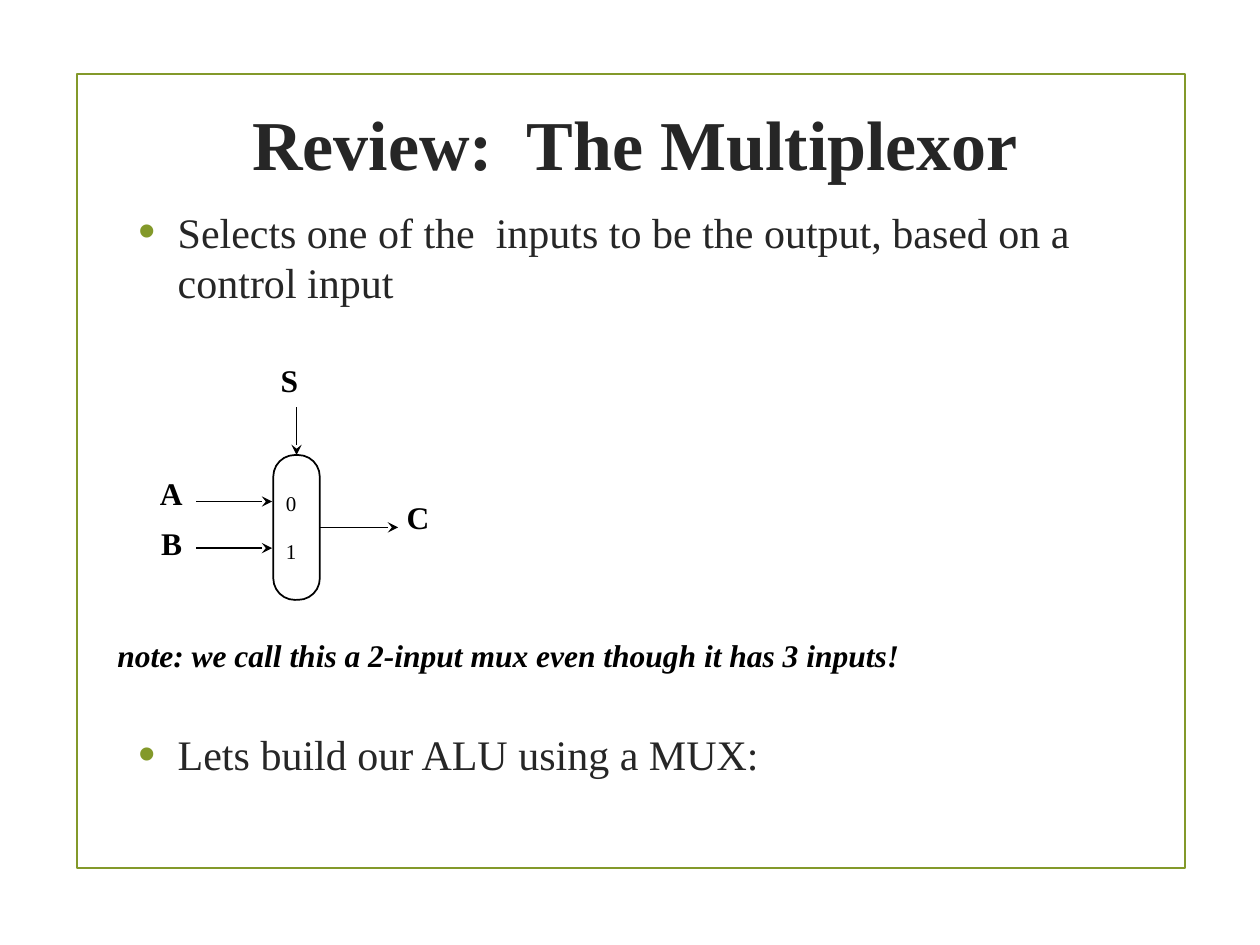
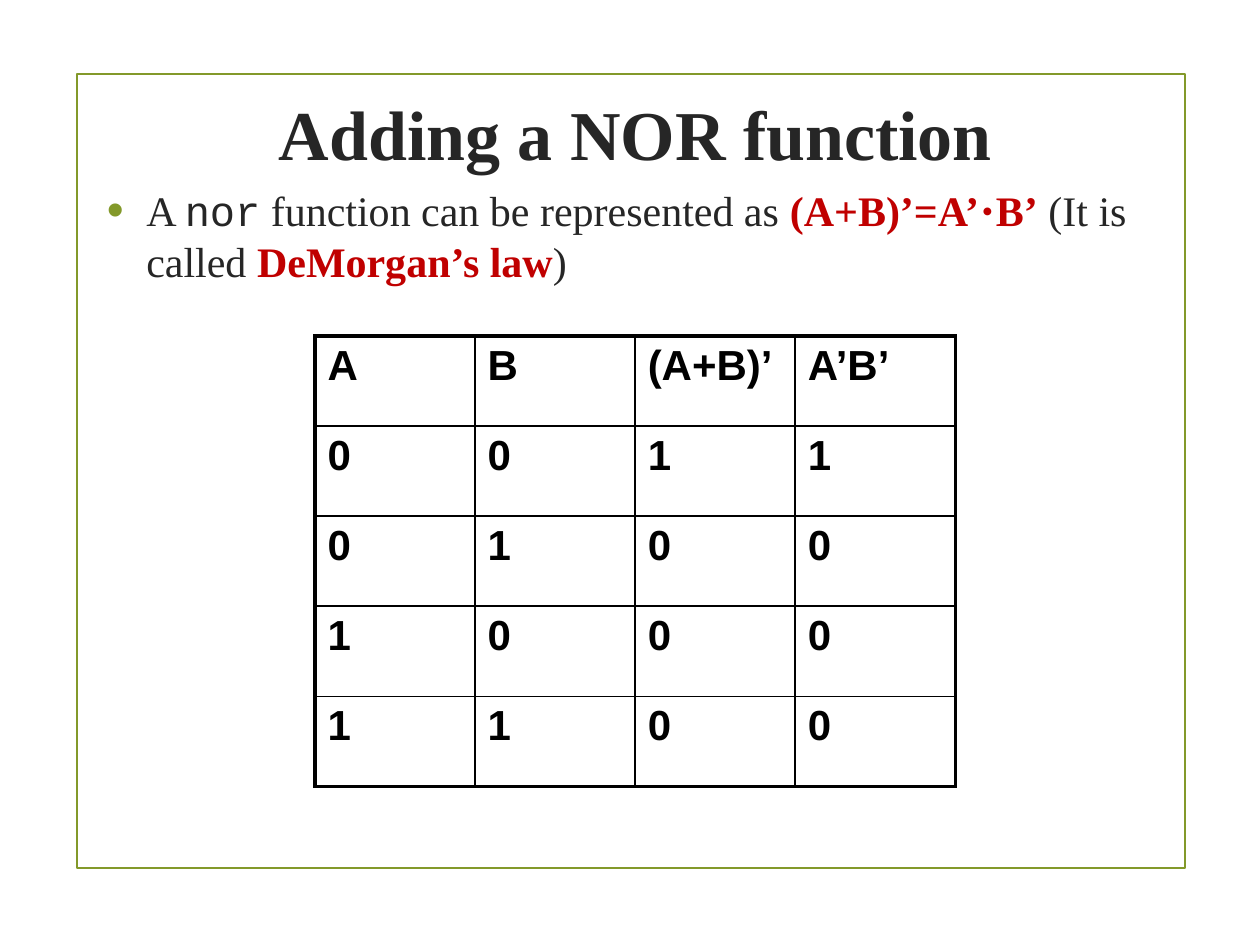
from lxml import etree
from pptx import Presentation
from pptx.dml.color import RGBColor
from pptx.enum.shapes import MSO_CONNECTOR, MSO_SHAPE
from pptx.enum.text import MSO_ANCHOR, PP_ALIGN
from pptx.oxml.ns import qn
from pptx.util import Pt

LINE = MSO_CONNECTOR.STRAIGHT
RECT = MSO_SHAPE.RECTANGLE
ROUND = MSO_SHAPE.ROUNDED_RECTANGLE
MID = MSO_ANCHOR.MIDDLE
LEFT, CENTER = PP_ALIGN.LEFT, PP_ALIGN.CENTER
TOP, RIGHT = 0, 3

HUES = {"olive": "83992A", "dark": "262626", "black": "000000",
        "white": "FFFFFF", "red": "C00000"}
SERIF = "Times New Roman"
FONTS = {
    "title": {"name": SERIF, "size": Pt(40), "bold": True},
    "body": {"name": SERIF, "size": Pt(24)},
    "code": {"name": "Courier New", "size": Pt(24)},
    "key": {"name": SERIF, "size": Pt(24), "bold": True},
    "label": {"name": SERIF, "size": Pt(18), "bold": True},
    "digit": {"name": SERIF, "size": Pt(12)},
    "note": {"name": SERIF, "size": Pt(18), "bold": True, "italic": True},
    "cell": {"name": "Arial", "size": Pt(24), "bold": True},
}
TINTS = {"title": "dark", "body": "dark", "code": "dark", "key": "red"}


# Shared helpers
def color(name):
    return RGBColor.from_string(HUES[name])


def apply(item, values):
    for name, value in values.items():
        setattr(item, name, value)


def pts(*values):
    return [Pt(v) for v in values]


def add_run(para, text, style):
    run = para.add_run()
    run.text = text
    apply(run.font, FONTS[style])
    run.font.color.rgb = color(TINTS.get(style, "black"))


def add_text(slide, box, runs, inset=(7.2, 3.6), align=LEFT, **form):
    frame = slide.shapes.add_textbox(*pts(*box)).text_frame
    side, edge = pts(*inset)
    apply(frame, {"word_wrap": True, "margin_left": side, "margin_right": side,
                  "margin_top": edge, "margin_bottom": edge})
    para = frame.paragraphs[0]
    apply(para, {"alignment": align, **form})
    for text, style in runs:
        add_run(para, text, style)
    return frame


def add_box(slide, kind, box, line, width):
    shape = slide.shapes.add_shape(kind, *pts(*box))
    shape.shadow.inherit = False
    shape.line.color.rgb = color(line)
    shape.line.width = Pt(width)
    return shape


def add_arrow(slide, start, end):
    arrow = slide.shapes.add_connector(LINE, *pts(*start, *end))
    arrow.line.color.rgb = color("black")
    arrow.line.width = Pt(1)
    etree.SubElement(arrow.line._get_or_add_ln(), qn("a:tailEnd"), type="stealth")
    etree.SubElement(arrow._element.spPr, qn("a:effectLst"))
    return arrow


# Frame and title common to all slides
def add_page(deck, title, top):
    slide = deck.slides.add_slide(deck.slide_layouts[6])
    add_box(slide, RECT, (44, 42.5, 633, 453.5), "olive", 1.25).fill.background()
    frame = add_text(slide, (48, top, 630, 103), [(title, "title")], align=CENTER)
    frame.vertical_anchor = MID
    return slide


def add_bullet(slide, box, runs):
    frame = add_text(slide, box, runs, line_spacing=Pt(29), space_after=Pt(6))
    props = frame.paragraphs[0]._p.get_or_add_pPr()
    apply_xml = {"marL": Pt(22.5), "indent": Pt(-22.5)}
    for name, value in apply_xml.items():
        props.set(name, str(value))
    tint = etree.SubElement(props, qn("a:buClr"))
    etree.SubElement(tint, qn("a:srgbClr"), val=HUES["olive"])
    etree.SubElement(props, qn("a:buSzPct"), val="115000")
    etree.SubElement(props, qn("a:buFont"), typeface="Arial")
    etree.SubElement(props, qn("a:buChar"), char="•")


# Two-input multiplexor, placed from its top left corner
def add_mux(slide, left, top):
    def at(x, y):
        return left + x, top + y

    wide, high = 26.6, 82.8
    mid_x, mid_y = 66.2 + wide / 2, 62 + high / 2
    mux = add_box(slide, ROUND, (*at(66.2, 62), wide, high), "black", 1)
    mux.adjustments[0] = 0.464
    mux.fill.solid()
    mux.fill.fore_color.rgb = color("white")

    for y in (88.6, 115.2):
        add_arrow(slide, at(22.3, y), at(65.5, y))
    pick = add_arrow(slide, at(mid_x, 34.6), at(mid_x, 62))
    pick.end_connect(mux, TOP)
    out = add_arrow(slide, at(66.2 + wide, mid_y), at(137.5, mid_y))
    out.begin_connect(mux, RIGHT)

    for text, x, y in (("S", 69, 0.7), ("C", 141, 79), ("A", 0, 65.5), ("B", 0.7, 93.6)):
        add_text(slide, (*at(x, y), 45, 48), [(text, "label")], (1.4, 2.2),
                 line_spacing=Pt(27))
    for text, y in (("0", 80.6), ("1", 108)):
        add_text(slide, (*at(72, y), 40, 24), [(text, "digit")], (1.4, 2.2),
                 line_spacing=Pt(14))


# Truth table with a heavy outer edge
def add_edge(cell, side, width):
    props = cell._tc.get_or_add_tcPr()
    line = etree.SubElement(props, qn("a:ln" + side), w=str(Pt(width)))
    fill = etree.SubElement(line, qn("a:solidFill"))
    etree.SubElement(fill, qn("a:srgbClr"), val=HUES["black"])


def add_truth(slide, box, rows):
    tall, wide = len(rows), len(rows[0])
    table = slide.shapes.add_table(tall, wide, *pts(*box)).table
    apply(table, {"first_row": False, "horz_banding": False})
    for r, row in enumerate(rows):
        for c, text in enumerate(row):
            cell = table.cell(r, c)
            add_run(cell.text_frame.paragraphs[0], text, "cell")
            outer = {"L": c == 0, "R": c == wide - 1, "T": r == 0, "B": r == tall - 1}
            for side, heavy in outer.items():
                add_edge(cell, side, 2.25 if heavy else 1)
            cell.fill.background()


def mux_slide(deck):
    slide = add_page(deck, "Review:  The Multiplexor", 30)
    intro = "Selects one of the  inputs to be the output, based on a control input"
    add_bullet(slide, (72, 114, 612, 72), [(intro, "body")])
    add_mux(slide, 90, 198)
    note = "note: we call this a 2-input mux even though it has 3 inputs!"
    add_text(slide, (60, 360, 570, 29), [(note, "note")])
    add_bullet(slide, (72, 412.5, 612, 40), [("Lets build our ALU using a MUX:", "body")])


def nor_slide(deck):
    slide = add_page(deck, "Adding a NOR function", 24)
    add_bullet(slide, (54, 102, 630, 72), [
        ("A ", "body"), ("nor", "code"), (" function can be represented as ", "body"),
        ("(A+B)’=A’⋅B’", "key"), (" (It is called ", "body"),
        ("DeMorgan’s law", "key"), (")", "body")])
    add_truth(slide, (180, 192, 366, 257.5),
              [("A", "B", "(A+B)’", "A’B’"), "0011", "0100", "1000", "1100"])


def main():
    deck = Presentation()
    apply(deck, {"slide_width": Pt(720), "slide_height": Pt(540)})
    mux_slide(deck)
    nor_slide(deck)
    deck.save("out.pptx")


if __name__ == "__main__":
    main()
